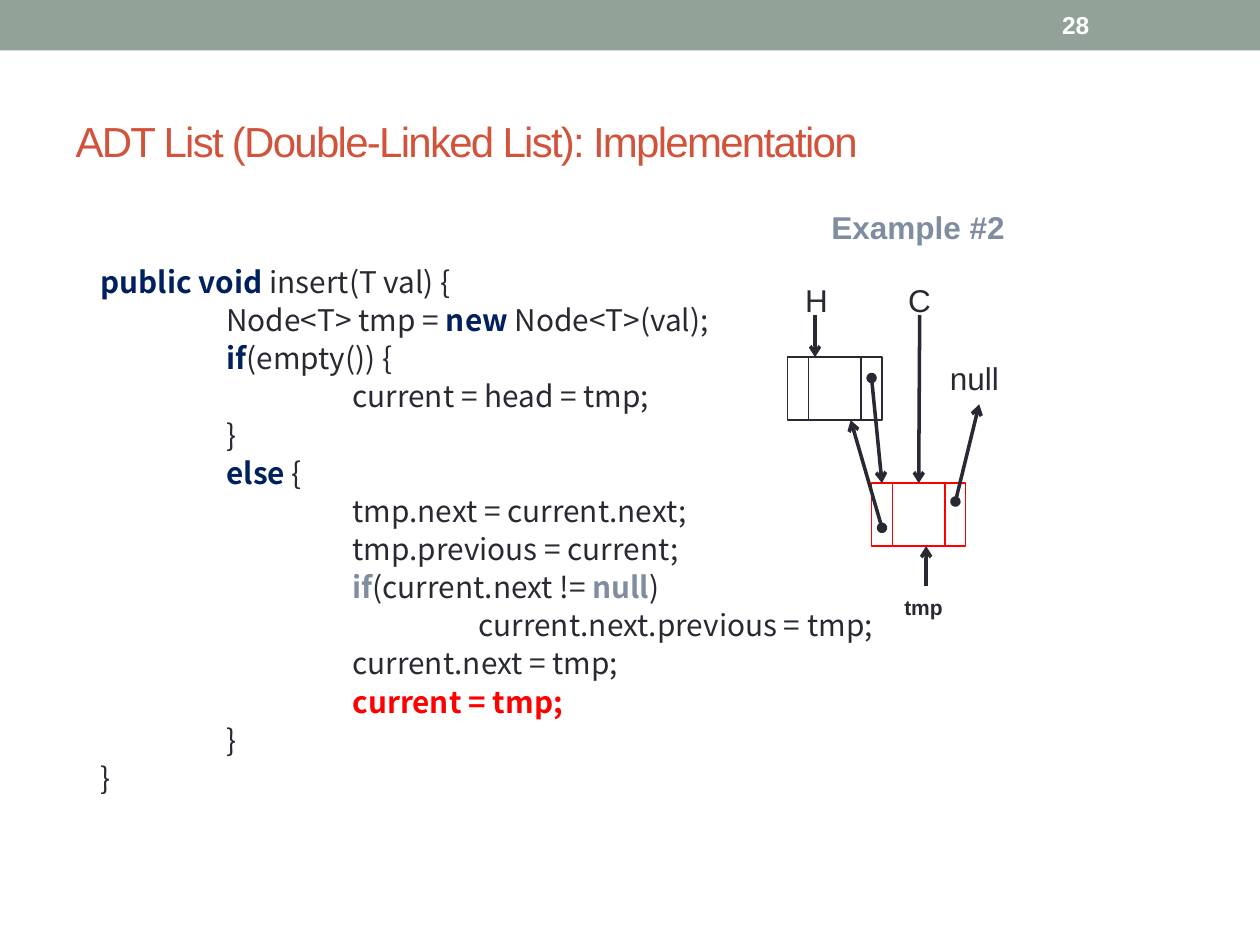
from lxml import etree
from pptx import Presentation
from pptx import util as u
from pptx.dml import color
from pptx.enum import shapes, text
from pptx.oxml import ns

INK, NAVY, GRAY, RED = "292934", "002060", "808DA0", "FF0000"
CODE = [
    (0, [("public void ", NAVY), ("insert(T val) {", INK)]),
    (1, [("Node<T> tmp = ", INK), ("new", NAVY), (" Node<T>(val);", INK)]),
    (1, [("if", NAVY), ("(empty()) {", INK)]),
    (2, [("current = head = tmp;", INK)]),
    (1, [("}", INK)]),
    (1, [("else", NAVY), (" {", INK)]),
    (2, [("tmp.next = current.next;", INK)]),
    (2, [("tmp.previous = current;", INK)]),
    (2, [("if", GRAY), ("(current.next != ", INK), ("null", GRAY), (")", INK)]),
    (3, [("current.next.previous = tmp;", INK)]),
    (2, [("current.next = tmp;", INK)]),
    (2, [("current = tmp;", RED)]),
    (1, [("}", INK)]),
    (0, [("}", INK)]),
]


def rgb(tone):
    """Turn a hex string into a colour."""
    return color.RGBColor.from_string(tone)


def style(run, size, tone, bold=False, face="Arial"):
    """Format one run."""
    font = run.font
    font.size, font.bold, font.name = u.Pt(size), bold, face
    font.color.rgb = rgb(tone)


def place(shape, x, y, w, h):
    """Move and size a shape, in centimetres."""
    shape.left, shape.top = u.Cm(x), u.Cm(y)
    shape.width, shape.height = u.Cm(w), u.Cm(h)


def title(shape, words):
    """Fill the title with tight letters."""
    place(shape, 1.27, 1.47, 22.86, 2.74)
    frame = shape.text_frame
    frame.text = words
    frame.auto_size = text.MSO_AUTO_SIZE.NONE
    frame.vertical_anchor = text.MSO_ANCHOR.MIDDLE
    frame.paragraphs[0].alignment = text.PP_ALIGN.LEFT
    run = frame.paragraphs[0].runs[0]
    style(run, 24, "D2533C")
    run.font._element.set("spc", "-100")


def code(shape, lines):
    """Fill the body with lines of code, indented by depth."""
    place(shape, 1.27, 5.14, 22.86, 12.84)
    frame = shape.text_frame
    frame.auto_size = text.MSO_AUTO_SIZE.NONE
    for i, (depth, parts) in enumerate(lines):
        para = frame.add_paragraph() if i else frame.paragraphs[0]
        para.line_spacing, para.space_before = u.Pt(21.8), u.Pt(0)
        props = para._p.get_or_add_pPr()
        props.set("marL", str(u.Cm(0.5 + 2.54 * depth)))
        props.set("indent", "0")
        etree.SubElement(props, ns.qn("a:buNone"))
        for words, tone in parts:
            run = para.add_run()
            run.text = words
            style(run, 17, tone, tone != INK, "Noto Sans CJK SC")


def label(slide, words, box, size, tone=INK, bold=False):
    """Add a one-line text box."""
    shape = slide.shapes.add_textbox(*map(u.Cm, box))
    frame = shape.text_frame
    frame.text = words
    frame.word_wrap = False
    style(frame.paragraphs[0].runs[0], size, tone, bold)
    return frame


def bar(slide):
    """Add the band across the top."""
    shape = slide.shapes.add_shape(
        shapes.MSO_SHAPE.RECTANGLE, 0, 0, u.Cm(25.4), u.Cm(1.02))
    shape.shadow.inherit = False
    shape.fill.solid()
    shape.fill.fore_color.rgb = rgb("93A299")
    shape.line.fill.background()


def node(slide, x, y, tone):
    """Add a grouped list node and return its three cells."""
    group, cells = slide.shapes.add_group_shape(), []
    for w in (0.42, 1.06, 0.42):
        cell = group.shapes.add_shape(
            shapes.MSO_SHAPE.RECTANGLE, *map(u.Cm, (x, y, w, 1.27)))
        cell.shadow.inherit = False
        cell.fill.background()
        cell.line.color.rgb, cell.line.width = rgb(tone), u.Pt(0.75)
        cells.append(cell)
        x += w
    return cells


def arrow(slide, start, end, dot=False, cell=None):
    """Add an arrow, with a dot at its start or joined to a cell's top."""
    link = slide.shapes.add_connector(
        shapes.MSO_CONNECTOR.STRAIGHT, *map(u.Cm, start + end))
    if cell is not None:
        link.end_connect(cell, 0)
    link.line.color.rgb, link.line.width = rgb(INK), u.Pt(2)
    line = link.line._get_or_add_ln()
    if dot:
        etree.SubElement(line, ns.qn("a:headEnd"), type="oval")
    etree.SubElement(line, ns.qn("a:tailEnd"), type="arrow")
    etree.SubElement(link._element.spPr, ns.qn("a:effectLst"))


def main():
    """Build the slide."""
    deck = Presentation()
    deck.slide_width, deck.slide_height = u.Cm(25.4), u.Cm(19.05)
    slide = deck.slides.add_slide(deck.slide_layouts[1])
    bar(slide)
    title(slide.shapes.title, "ADT List (Double-Linked List): Implementation")
    code(slide.placeholders[1], CODE)
    page = label(slide, "28", (21.16, 0.05, 2.97, 0.91), 14, "FFFFFF", True)
    page.word_wrap = True
    page.vertical_anchor = text.MSO_ANCHOR.MIDDLE

    label(slide, "Example #2", (16.51, 4.06, 4.17, 1.02), 18, GRAY, True)
    label(slide, "H", (15.98, 5.54, 0.99, 1.02), 18)
    label(slide, "C", (18.06, 5.54, 0.99, 1.02), 18)
    label(slide, "null", (18.9, 7.11, 1.68, 1.02), 18)
    label(slide, "tmp", (17.98, 11.86, 1.35, 0.76), 12, INK, True)

    node(slide, 15.88, 7.2, INK)
    prev, data, _ = node(slide, 17.57, 9.74, RED)
    arrow(slide, (16.43, 6.35), (16.43, 7.2))
    arrow(slide, (18.54, 6.35), (18.52, 9.74), cell=data)
    arrow(slide, (19.26, 10.11), (19.74, 8.15), dot=True)
    arrow(slide, (17.78, 10.64), (17.15, 8.47), dot=True)
    arrow(slide, (17.57, 7.62), (17.78, 9.74), dot=True, cell=prev)
    arrow(slide, (18.67, 11.81), (18.67, 11.01))
    deck.save("out.pptx")


if __name__ == "__main__":
    main()
